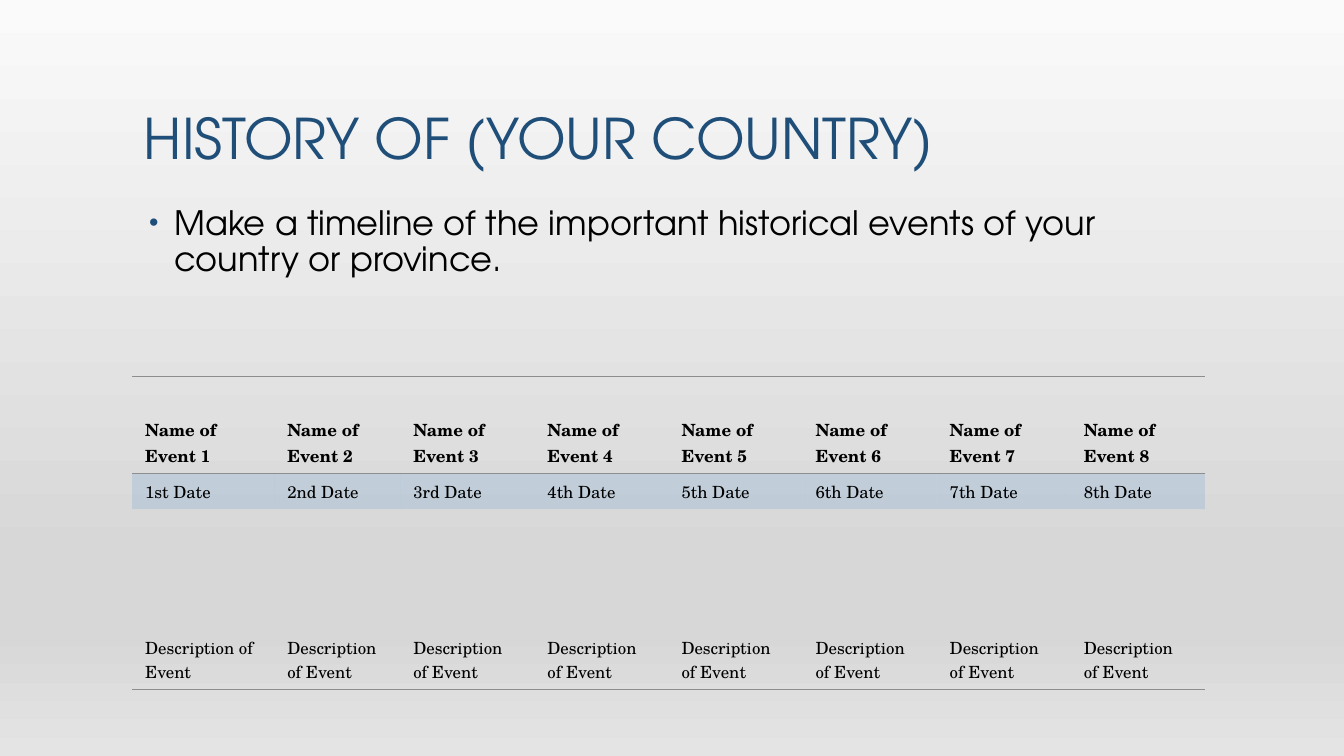
from lxml import etree
from pptx import Presentation
from pptx.dml.color import RGBColor
from pptx.enum.text import MSO_ANCHOR
from pptx.oxml import parse_xml
from pptx.oxml.ns import nsdecls, qn
from pptx.util import Inches, Pt

COLORS = {"title": "1F4E79", "text": "000000", "band": "5B9BD5", "rule": "8E8E8E"}
BACKGROUND_STOPS = [(0, "FAFAFA"), (74, "D7D7D7"), (83, "D7D7D7"), (100, "E4E4E4")]
HEADING_FONT = "TeX Gyre Adventor"
TABLE_FONT = "TeX Gyre Schola"
NO_STYLE_NO_GRID = "{2D5ABB26-0587-4C30-8999-92F81FD0307C}"


def add_text(slide, text, top, height, size, color):
    """Add a wrapped one-paragraph text box and return its text frame."""
    box = slide.shapes.add_textbox(Inches(1.33), Inches(top), Inches(10.67), Inches(height))
    text_frame = box.text_frame
    text_frame.word_wrap = True
    text_frame.text = text
    paragraph = text_frame.paragraphs[0]
    paragraph.line_spacing = 0.9
    font = paragraph.runs[0].font
    font.name = HEADING_FONT
    font.size = Pt(size)
    font.color.rgb = RGBColor.from_string(COLORS[color])
    return text_frame


def add_border(cell, side):
    """Draw a thin rule on one side ("lnT" or "lnB") of a table cell."""
    line = parse_xml(
        f'<a:{side} {nsdecls("a")} w="9525"><a:solidFill>'
        f'<a:srgbClr val="{COLORS["rule"]}"/></a:solidFill></a:{side}>'
    )
    properties = cell._tc.get_or_add_tcPr()
    position = len(properties.findall(qn("a:lnT")))
    properties.insert(position, line)


presentation = Presentation()
presentation.slide_width = Inches(13.33)
presentation.slide_height = Inches(7.5)
slide = presentation.slides.add_slide(presentation.slide_layouts[6])

# Background gradient, top to bottom
background_fill = slide.background.fill
background_fill.gradient()
background_fill.gradient_angle = 270
stop_list = slide._element.find(".//" + qn("a:gsLst"))
for stop in list(stop_list):
    stop_list.remove(stop)
for percent, color in BACKGROUND_STOPS:
    stop = etree.SubElement(stop_list, qn("a:gs"), pos=str(percent * 1000))
    etree.SubElement(stop, qn("a:srgbClr"), val=color)

# Title and instruction
title_frame = add_text(slide, "HISTORY OF (YOUR COUNTRY)", 0.3, 1.45, 40, "title")
title_frame.vertical_anchor = MSO_ANCHOR.BOTTOM

instruction = "Make a timeline of the important historical events of your country or province."
body_frame = add_text(slide, instruction, 2, 1.2, 24, "text")
body_paragraph = body_frame.paragraphs[0]
body_paragraph.space_before = Pt(18)
body_properties = body_paragraph._p.get_or_add_pPr()
body_properties.set("marL", str(Inches(0.3)))
body_properties.set("indent", str(-Inches(0.25)))
bullet_color = etree.SubElement(body_properties, qn("a:buClr"))
etree.SubElement(bullet_color, qn("a:srgbClr"), val=COLORS["title"])
etree.SubElement(body_properties, qn("a:buSzPct"), val="80000")
etree.SubElement(body_properties, qn("a:buFont"), typeface="Arial")
etree.SubElement(body_properties, qn("a:buChar"), char="\u2022")

# Timeline table: event names, dates, descriptions
ordinals = ["1st", "2nd", "3rd"] + [f"{number}th" for number in range(4, 9)]
timeline_rows = [
    [f"Name of Event {number}" for number in range(1, 9)],
    [f"{ordinal} Date" for ordinal in ordinals],
    ["Description of Event"] * 8,
]
column_widths = [1.41, 1.25] + [1.33] * 6
row_heights = [0.97, 0.35, 1.79]
row_borders = [["lnT", "lnB"], [], ["lnB"]]

table_frame = slide.shapes.add_table(
    3, 8, Inches(1.31), Inches(3.73), Inches(sum(column_widths)), Inches(sum(row_heights))
)
table = table_frame.table
table.horz_banding = False
table._tbl.tblPr.find(qn("a:tableStyleId")).text = NO_STYLE_NO_GRID
for column, width in zip(table.columns, column_widths):
    column.width = Inches(width)

for row_index, texts in enumerate(timeline_rows):
    table.rows[row_index].height = Inches(row_heights[row_index])
    for column_index, text in enumerate(texts):
        cell = table.cell(row_index, column_index)
        cell.text_frame.text = text
        cell.vertical_anchor = MSO_ANCHOR.BOTTOM
        cell.margin_left = cell.margin_right = Inches(0.13)
        cell.margin_top = cell.margin_bottom = Inches(0.05)
        font = cell.text_frame.paragraphs[0].runs[0].font
        font.name = TABLE_FONT
        font.size = Pt(12)
        font.bold = row_index == 0
        font.color.rgb = RGBColor.from_string(COLORS["text"])
        if row_index == 1:
            cell.fill.solid()
            cell.fill.fore_color.rgb = RGBColor.from_string(COLORS["band"])
            band_color = cell._tc.tcPr.find(".//" + qn("a:srgbClr"))
            etree.SubElement(band_color, qn("a:alpha"), val="20000")
        else:
            cell.fill.background()
        for side in row_borders[row_index]:
            add_border(cell, side)

presentation.save("out.pptx")
